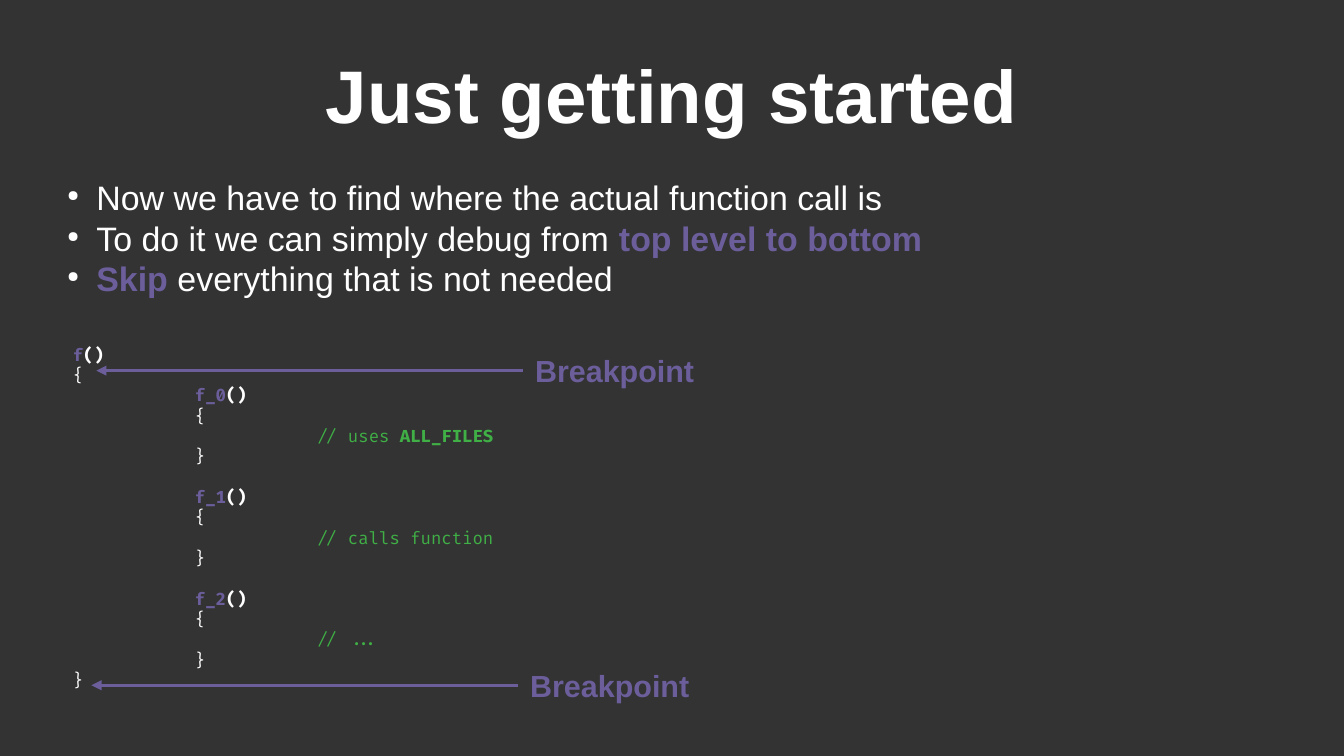
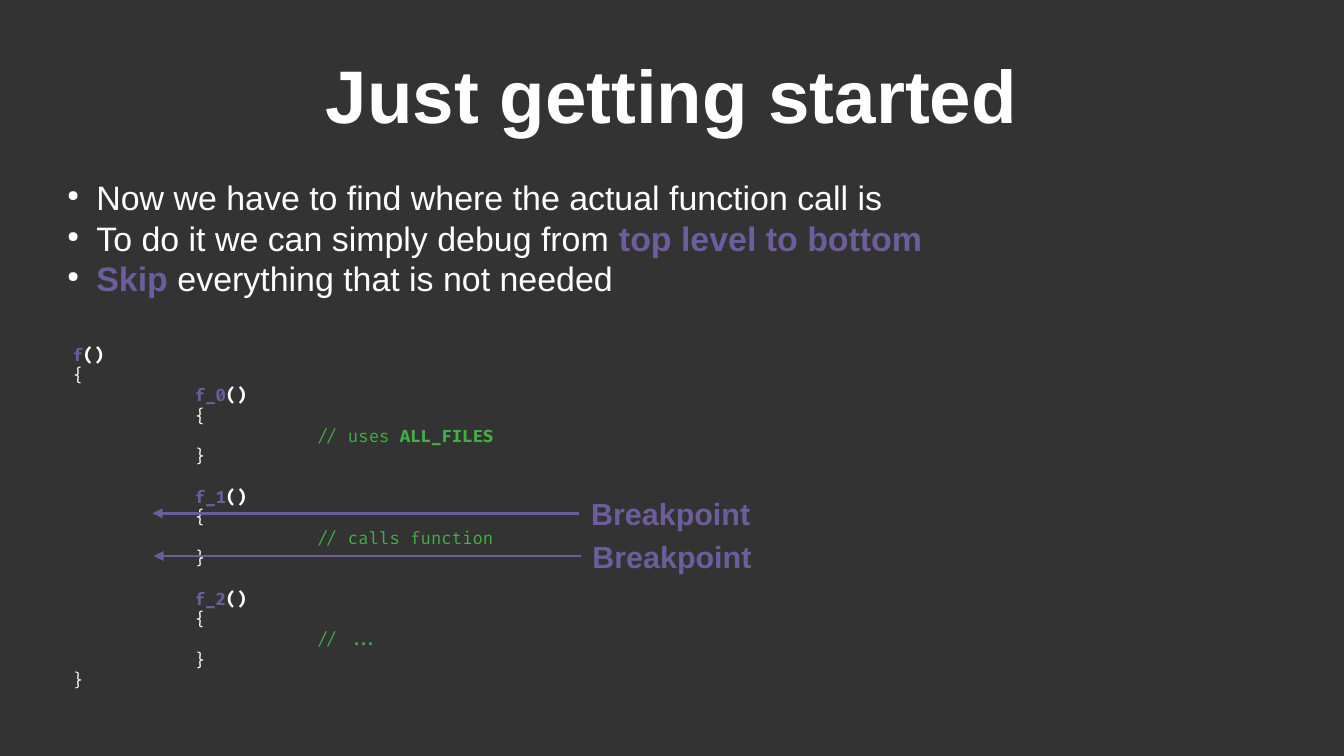
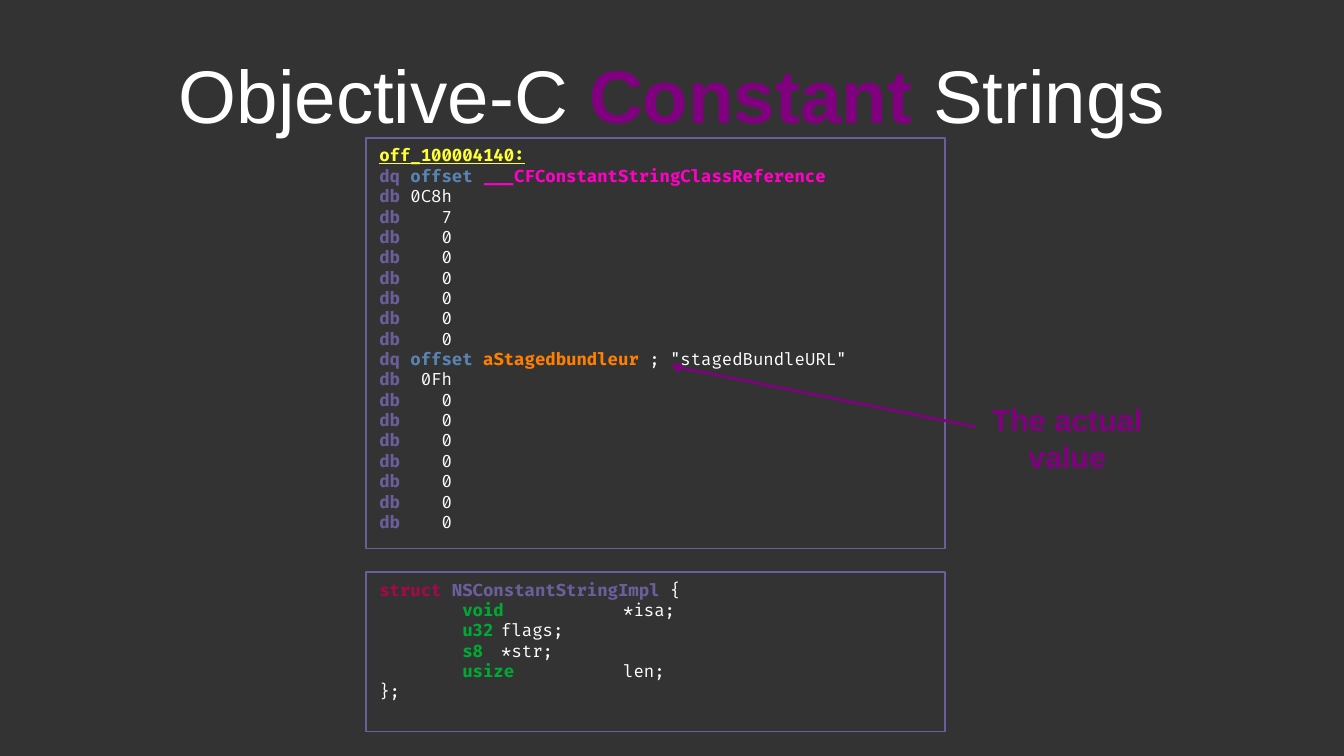
from lxml import etree
from pptx import Presentation
from pptx.dml.color import RGBColor
from pptx.enum.shapes import MSO_CONNECTOR, MSO_SHAPE
from pptx.enum.text import MSO_ANCHOR, PP_ALIGN
from pptx.oxml.ns import qn
from pptx.util import Inches, Pt

STRAIGHT = MSO_CONNECTOR.STRAIGHT
RECTANGLE = MSO_SHAPE.RECTANGLE
TOP, MIDDLE = MSO_ANCHOR.TOP, MSO_ANCHOR.MIDDLE
LEFT, CENTER = PP_ALIGN.LEFT, PP_ALIGN.CENTER

BACKGROUND = RGBColor(0x33, 0x33, 0x33)
WHITE = RGBColor(0xFF, 0xFF, 0xFF)
VIOLET = RGBColor(0x6B, 0x5E, 0x9B)
PURPLE = RGBColor(0x80, 0x00, 0x80)
COMMENT = RGBColor(0x3F, 0xAF, 0x46)
YELLOW = RGBColor(0xFF, 0xFF, 0x38)
BLUE = RGBColor(0x59, 0x83, 0xB0)
PINK = RGBColor(0xFF, 0x00, 0xC6)
ORANGE = RGBColor(0xFF, 0x80, 0x00)
CRIMSON = RGBColor(0xA7, 0x07, 0x4B)
GREEN = RGBColor(0x00, 0xA9, 0x33)

SANS, MONO = "Arial", "Fira Code"
TITLE_SIZE, BODY_SIZE, LABEL_SIZE, CODE_SIZE = 44, 20, 18, 10
CODE_LINE = Pt(12)
NO_INSETS, LABEL_INSETS, PANEL_INSETS = (0, 0), (0.1, 0.05), (0.11, 0.06)

TITLE_BOX = (0.55, 0.25, 9.92, 1.04)
BULLET_BOX = (0.55, 1.45, 9.92, 0.93)
OUTLINE_BOX = (0.5, 2.73, 8, 3.02)
DUMP_BOX = (3, 1.13, 4.75, 3.37)
STRUCT_BOX = (3, 4.69, 4.75, 1.31)


def plain(text, colour=WHITE):
    """Return a regular span."""
    return text, colour, False


def bold(text, colour=WHITE):
    """Return a bold span."""
    return text, colour, True


def add_child(parent, tag, **attributes):
    """Append a drawing element to an XML parent."""
    return etree.SubElement(parent, qn(tag), attributes)


def write_lines(shape, lines, font, size, anchor=TOP, align=LEFT, insets=NO_INSETS):
    """Fill a shape with one paragraph for each list of spans."""
    frame = shape.text_frame
    frame.word_wrap = True
    frame.vertical_anchor = anchor
    frame.margin_left = frame.margin_right = Inches(insets[0])
    frame.margin_top = frame.margin_bottom = Inches(insets[1])
    for index, line in enumerate(lines):
        para = frame.add_paragraph() if index else frame.paragraphs[0]
        para.alignment = align
        for text, colour, heavy in line:
            span = para.add_run()
            span.text = text
            span.font.name = font
            span.font.size = Pt(size)
            span.font.bold = heavy
            span.font.color.rgb = colour
    return frame.paragraphs


def add_text(page, box, lines, font, size, **layout):
    """Place a text box and return its paragraphs."""
    shape = page.shapes.add_textbox(*map(Inches, box))
    return write_lines(shape, lines, font, size, **layout)


def set_tabs(paras):
    """Put tab stops at one and two inches."""
    for para in paras:
        tabs = add_child(para._p.get_or_add_pPr(), "a:tabLst")
        for stop in (1, 2):
            add_child(tabs, "a:tab", pos=str(Inches(stop)), algn="l")


def add_page(deck, title):
    """Add a blank page with a centred title."""
    page = deck.slides.add_slide(deck.slide_layouts[6])
    add_text(page, TITLE_BOX, [title], SANS, TITLE_SIZE, anchor=MIDDLE, align=CENTER)
    return page


def add_bullets(page, box, lines):
    """Place a bulleted list with small round marks."""
    for para in add_text(page, box, lines, SANS, BODY_SIZE):
        properties = para._p.get_or_add_pPr()
        properties.set("marL", str(Inches(0.24)))
        properties.set("indent", str(-Inches(0.24)))
        colour = add_child(properties, "a:buClr")
        add_child(colour, "a:srgbClr", val=str(WHITE))
        add_child(properties, "a:buSzPct", val="45000")
        add_child(properties, "a:buChar", char="●")


def add_callout(page, box, text, reach, colour):
    """Place a label with an arrow that starts a quarter inch inside its corner."""
    left, top = box[0] + 0.25, box[1] + 0.25
    ends = (left, top, left + reach[0], top + reach[1])
    arrow = page.shapes.add_connector(STRAIGHT, *map(Inches, ends))
    arrow.line.color.rgb = colour
    arrow.line.width = Pt(1.5)
    add_child(arrow.line._get_or_add_ln(), "a:tailEnd", type="triangle")
    add_child(arrow._element.spPr, "a:effectLst")
    add_text(page, box, [[bold(text, colour)]], SANS, LABEL_SIZE,
             anchor=MIDDLE, align=CENTER, insets=LABEL_INSETS)


def add_panel(page, box, lines):
    """Place a framed code listing and return its paragraphs."""
    panel = page.shapes.add_shape(RECTANGLE, *map(Inches, box))
    panel.shadow.inherit = False
    panel.fill.background()
    panel.line.color.rgb = VIOLET
    panel.line.width = Pt(1)
    return write_lines(panel, lines, MONO, CODE_SIZE, insets=PANEL_INSETS)


def add_outline(page, box):
    """Place the nested call outline."""
    bodies = [
        [plain("// uses ", COMMENT), bold("ALL_FILES", COMMENT)],
        [plain("// calls function", COMMENT)],
        [plain("// ...", COMMENT)],
    ]
    lines = [[bold("f", VIOLET), bold("()")], [plain("{")]]
    starts = []
    for number, body in enumerate(bodies):
        starts.append(len(lines))
        lines += [
            [plain("\t"), bold(f"f_{number}", VIOLET), bold("()")],
            [plain("\t{")],
            [plain("\t\t"), *body],
            [plain("\t}")],
        ]
    lines.append([plain("}")])
    paras = add_text(page, box, lines, MONO, CODE_SIZE,
                     anchor=MIDDLE, insets=LABEL_INSETS)
    set_tabs(paras)
    for start in starts[1:]:
        paras[start].space_before = CODE_LINE


def add_breakpoint_page(deck, corners):
    """Add the debugging page with a breakpoint label at each corner."""
    page = add_page(deck, [bold("Just getting started")])
    add_bullets(page, BULLET_BOX, [
        [plain("Now we have to find where the actual function call is")],
        [plain("To do it we can simply debug from "),
         bold("top level to bottom", VIOLET)],
        [bold("Skip", VIOLET), plain(" everything that is not needed")],
    ])
    add_outline(page, OUTLINE_BOX)
    for left, top in corners:
        add_callout(page, (left, top, 2, 0.5), "Breakpoint", (-3.5, 0), VIOLET)


def byte_rows(*values):
    """Return one data-byte line for each value."""
    return [[bold("db ", VIOLET), plain(value.rjust(4))] for value in values]


def offset_row(name, colour, *rest):
    """Return a data line that refers to a named offset."""
    return [bold("dq ", VIOLET), bold("offset ", BLUE), bold(name, colour), *rest]


def add_dump(page, box):
    """Place the memory listing of the constant string."""
    paras = add_panel(page, box, [
        [bold("off_100004140:", YELLOW)],
        offset_row("___CFConstantStringClassReference", PINK),
        *byte_rows("0C8h", "7", *"000000"),
        offset_row("aStagedbundleur ", ORANGE, plain('; "stagedBundleURL"')),
        *byte_rows("0Fh", *"0000000"),
    ])
    paras[0].runs[0].font.underline = True


def add_struct(page, box):
    """Place the structure definition."""
    fields = [("void", "*isa;"), ("u32", "flags;"), ("s8 ", "*str;"), ("usize", "len;")]
    paras = add_panel(page, box, [
        [bold("struct ", CRIMSON), bold("NSConstantStringImpl", VIOLET), plain(" {")],
        *[[plain(" " * 8), bold(kind + "\t", GREEN), plain(name)]
          for kind, name in fields],
        [plain("};")],
    ])
    set_tabs(paras)


def add_strings_page(deck):
    """Add the page on constant strings."""
    page = add_page(deck, [
        plain("Objective-C "), bold("Constant", PURPLE), plain(" Strings")])
    add_dump(page, DUMP_BOX)
    add_callout(page, (7.75, 3.25, 2, 0.68), "The actual value", (-2.5, -0.5), PURPLE)
    add_struct(page, STRUCT_BOX)


def main():
    """Build and save the deck."""
    deck = Presentation()
    deck.slide_width, deck.slide_height = Inches(11.02), Inches(6.2)
    backdrop = deck.slide_master.background.fill
    backdrop.solid()
    backdrop.fore_color.rgb = BACKGROUND
    add_breakpoint_page(deck, [(4.04, 2.79), (4, 5.37)])
    add_breakpoint_page(deck, [(4.5, 3.96), (4.51, 4.31)])
    add_strings_page(deck)
    deck.save("out.pptx")


if __name__ == "__main__":
    main()
